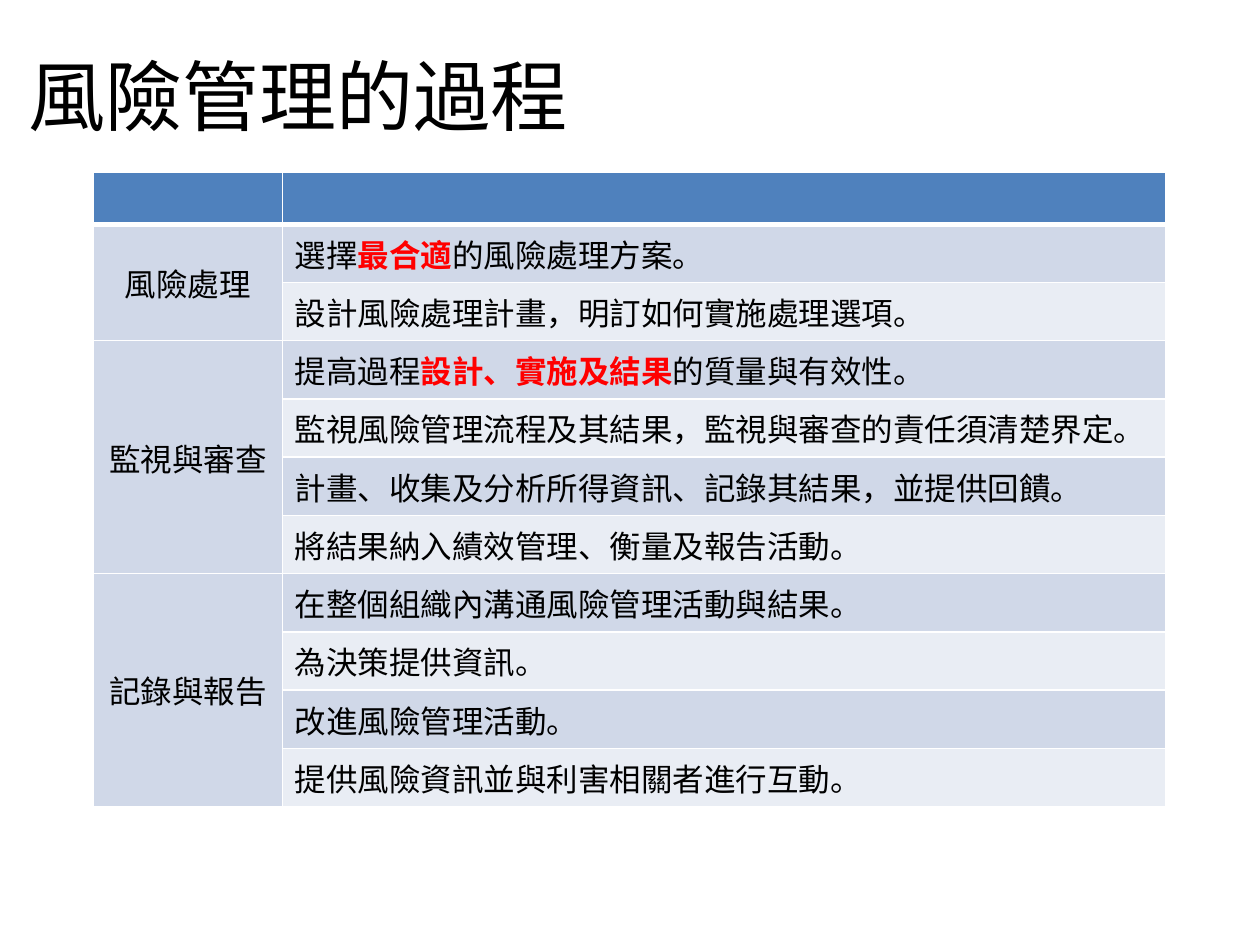
from lxml.etree import SubElement
from pptx import Presentation
from pptx.dml.color import RGBColor
from pptx.enum.text import MSO_ANCHOR as Anchor, PP_ALIGN as Align
from pptx.oxml.ns import qn
from pptx.util import Inches, Pt


def color(value):
    return RGBColor.from_string(value)


def add_text(paragraph, text, size, ink="000000", bold=False):
    run = paragraph.add_run()
    run.text = text
    run.font.color.rgb = color(ink)
    for name, value in {"size": Pt(size), "name": "Calibri", "bold": bold}.items():
        setattr(run.font, name, value)


HEADER, BAND, LIGHT, WHITE, RED = "4F81BD", "D0D8E8", "E9EDF4", "FFFFFF", "FF0000"

stages = [
    ("風險處理", [
        ("選擇", "最合適", "的風險處理方案。"),
        ("設計風險處理計畫，明訂如何實施處理選項。",),
    ]),
    ("監視與審查", [
        ("提高過程", "設計、實施及結果", "的質量與有效性。"),
        ("監視風險管理流程及其結果，監視與審查的責任須清楚界定。",),
        ("計畫、收集及分析所得資訊、記錄其結果，並提供回饋。",),
        ("將結果納入績效管理、衡量及報告活動。",),
    ]),
    ("記錄與報告", [
        ("在整個組織內溝通風險管理活動與結果。",),
        ("為決策提供資訊。",),
        ("改進風險管理活動。",),
        ("提供風險資訊並與利害相關者進行互動。",),
    ]),
]

deck = Presentation()
deck.slide_width, deck.slide_height = Inches(10), Inches(7.5)
slide = deck.slides.add_slide(deck.slide_layouts[5])

heading = slide.shapes.title
title_box = {"left": 0.12, "top": 0.13, "width": 4.5, "height": 1.25}
for name, value in title_box.items():
    setattr(heading, name, Inches(value))
heading.text_frame.vertical_anchor = Anchor.MIDDLE
heading_line = heading.text_frame.paragraphs[0]
heading_line.alignment = Align.CENTER
add_text(heading_line, "風險管理的過程", 44)

row_count = 1 + sum(len(actions) for _, actions in stages)
process = slide.shapes.add_table(
    row_count, 2, Inches(0.74), Inches(1.37), Inches(8.51), Inches(4.41)
).table
for column, width in zip(process.columns, (1.5, 7.01)):
    column.width = Inches(width)
for index, row in enumerate(process.rows):
    row.height = Inches(0.4 if index else 0.41)
    for column_index, cell in enumerate(row.cells):
        properties = cell._tc.get_or_add_tcPr()
        for side in "LRTB":
            thick = (index == 0 and side == "B") or (index == 1 and side == "T")
            border = SubElement(properties, qn(f"a:ln{side}"), w=str(Pt(3 if thick else 1)))
            border_fill = SubElement(border, qn("a:solidFill"))
            SubElement(border_fill, qn("a:srgbClr"), val=WHITE)
        cell.fill.solid()
        body_fill = BAND if column_index == 0 or index % 2 else LIGHT
        cell.fill.fore_color.rgb = color(body_fill if index else HEADER)

first_row = 1
for stage, actions in stages:
    stage_cell = process.cell(first_row, 0)
    stage_cell.merge(process.cell(first_row + len(actions) - 1, 0))
    stage_cell.vertical_anchor = Anchor.MIDDLE
    stage_line = stage_cell.text_frame.paragraphs[0]
    stage_line.alignment = Align.CENTER
    add_text(stage_line, stage, 18)
    for row_index, parts in enumerate(actions, first_row):
        action_line = process.cell(row_index, 1).text_frame.paragraphs[0]
        for part_index, part in enumerate(parts):
            emphasized = part_index == 1
            add_text(action_line, part, 18, RED if emphasized else "000000", emphasized)
    first_row += len(actions)

deck.save("out.pptx")
